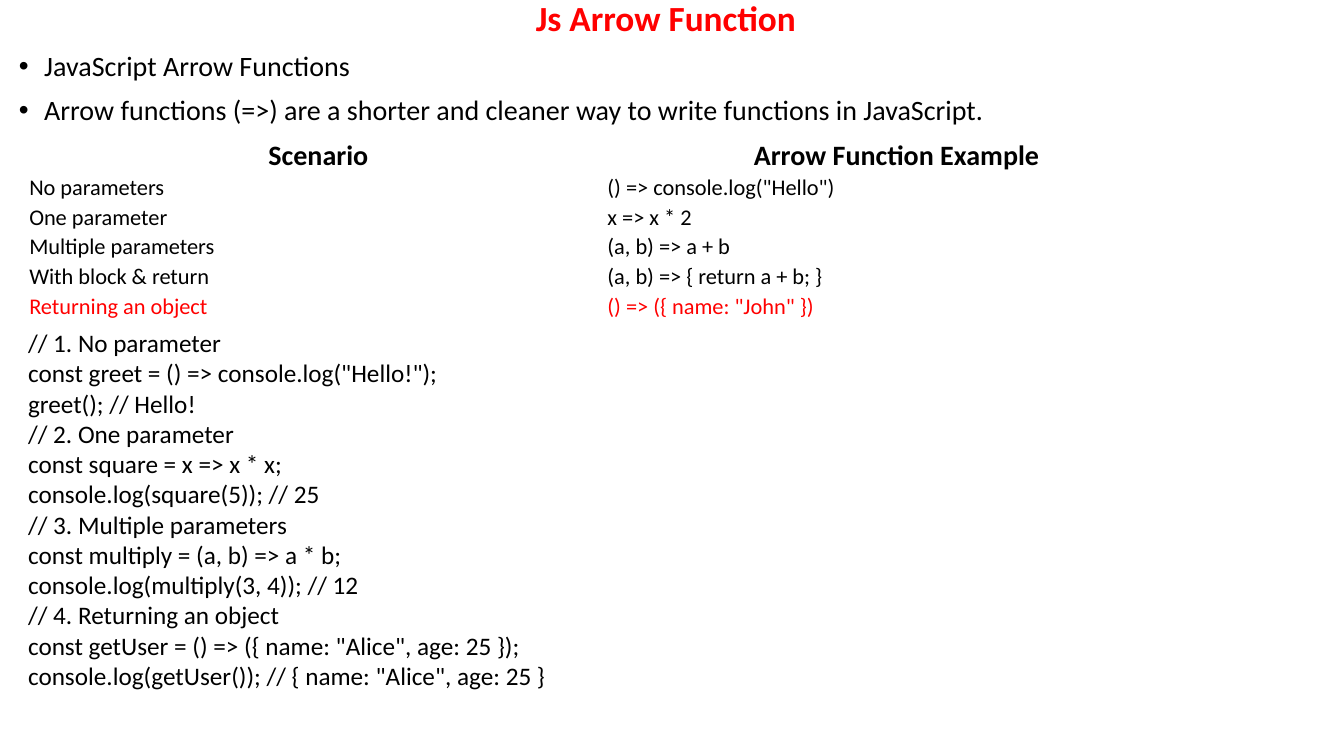
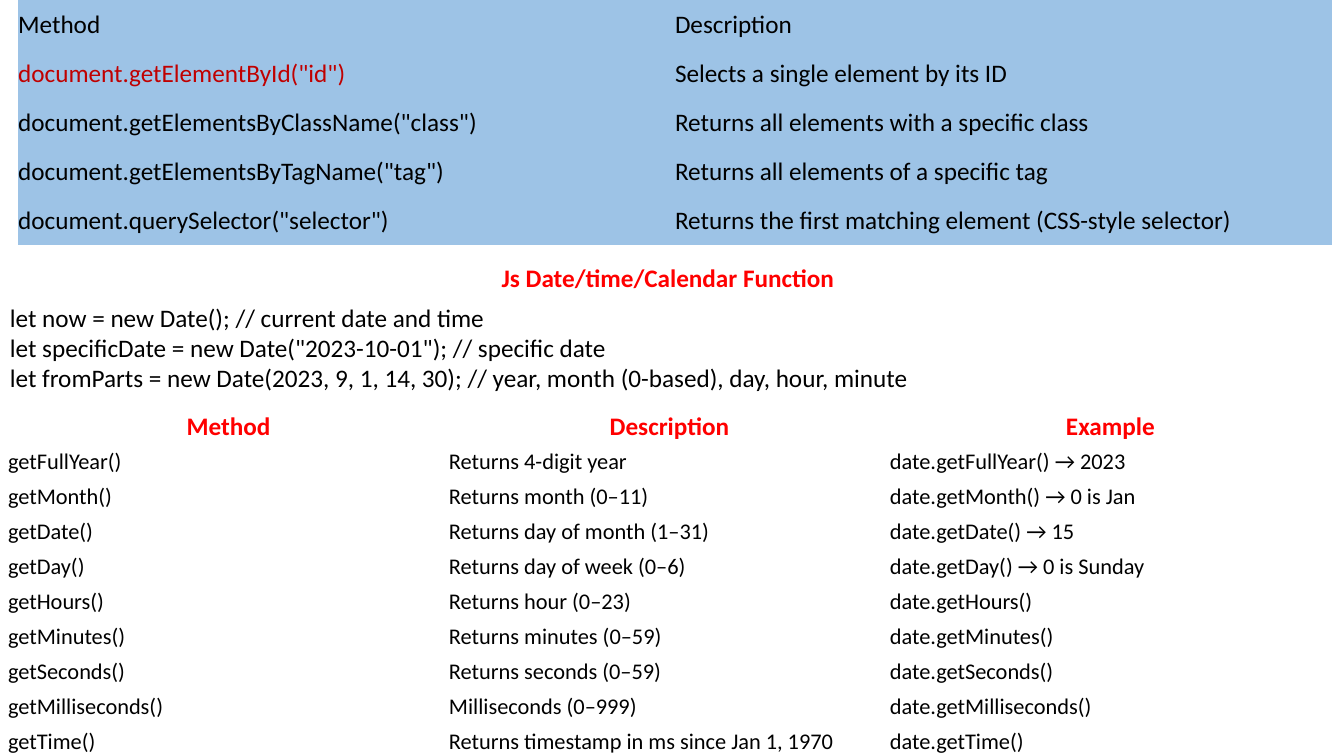
from lxml.etree import SubElement
from pptx import Presentation
from pptx.dml.color import RGBColor
from pptx.enum.text import MSO_ANCHOR, PP_ALIGN
from pptx.oxml.ns import qn
from pptx.util import Pt

PX = 9144  # EMU in one px, 100 px to the inch
SLIDE_WIDTH, SLIDE_HEIGHT = 1333, 750
FONT = "Calibri"
BLACK = RGBColor(0x00, 0x00, 0x00)
RED = RGBColor(0xFF, 0x00, 0x00)
DARK_RED = RGBColor(0xC0, 0x00, 0x00)
PALE_BLUE = RGBColor(0x9D, 0xC3, 0xE6)
PLAIN_TABLE_STYLE = "{2D5ABB26-0587-4C30-8999-92F81FD0307C}"
HEADING = {"color": RED, "bold": True, "align": PP_ALIGN.CENTER}

ARROW_POINTS = [
    "JavaScript Arrow Functions",
    "Arrow functions (=>) are a shorter and cleaner way to write functions in JavaScript.",
]
ARROW_ROWS = [
    ("Scenario", "Arrow Function Example"),
    ("No parameters", '() => console.log("Hello")'),
    ("One parameter", "x => x * 2"),
    ("Multiple parameters", "(a, b) => a + b"),
    ("With block & return", "(a, b) => { return a + b; }"),
    ("Returning an object", '() => ({ name: "John" })'),
]
ARROW_CODE = [
    "// 1. No parameter",
    'const greet = () => console.log("Hello!");',
    "greet(); // Hello!",
    "// 2. One parameter",
    "const square = x => x * x;",
    "console.log(square(5)); // 25",
    "// 3. Multiple parameters",
    "const multiply = (a, b) => a * b;",
    "console.log(multiply(3, 4)); // 12",
    "// 4. Returning an object",
    'const getUser = () => ({ name: "Alice", age: 25 });',
    'console.log(getUser()); // { name: "Alice", age: 25 }',
]
SELECTOR_ROWS = [
    ("Method", "Description"),
    ('document.getElementById("id")', "Selects a single element by its ID"),
    ('document.getElementsByClassName("class")', "Returns all elements with a specific class"),
    ('document.getElementsByTagName("tag")', "Returns all elements of a specific tag"),
    ('document.querySelector("selector")', "Returns the first matching element (CSS-style selector)"),
]
DATE_CODE = [
    "let now = new Date(); // current date and time",
    'let specificDate = new Date("2023-10-01"); // specific date',
    "let fromParts = new Date(2023, 9, 1, 14, 30); // year, month (0-based), day, hour, minute",
]
DATE_ROWS = [
    ("Method", "Description", "Example"),
    ("getFullYear()", "Returns 4-digit year", "date.getFullYear() → 2023"),
    ("getMonth()", "Returns month (0–11)", "date.getMonth() → 0 is Jan"),
    ("getDate()", "Returns day of month (1–31)", "date.getDate() → 15"),
    ("getDay()", "Returns day of week (0–6)", "date.getDay() → 0 is Sunday"),
    ("getHours()", "Returns hour (0–23)", "date.getHours()"),
    ("getMinutes()", "Returns minutes (0–59)", "date.getMinutes()"),
    ("getSeconds()", "Returns seconds (0–59)", "date.getSeconds()"),
    ("getMilliseconds()", "Milliseconds (0–999)", "date.getMilliseconds()"),
    ("getTime()", "Returns timestamp in ms since Jan 1, 1970", "date.getTime()"),
]


def write_text(frame, lines, size=18, color=BLACK, bold=False, align=PP_ALIGN.LEFT,
               line_spacing=None, space_before=0, bullet_indent=0):
    """Fill a text frame with one paragraph for each line."""
    for index, line in enumerate(lines):
        paragraph = frame.add_paragraph() if index else frame.paragraphs[0]
        paragraph.alignment = align
        paragraph.space_before = Pt(space_before)
        if line_spacing:
            paragraph.line_spacing = line_spacing
        if bullet_indent:
            properties = paragraph._p.get_or_add_pPr()
            properties.set("marL", str(bullet_indent * PX))
            properties.set("indent", str(-bullet_indent * PX))
            SubElement(properties, qn("a:buFont"), typeface="Arial")
            SubElement(properties, qn("a:buChar"), char="•")
        run = paragraph.add_run()
        run.text = line
        run.font.name = FONT
        run.font.size = Pt(size)
        run.font.bold = bold
        run.font.color.rgb = color


def add_text(slide, box, lines, anchor=MSO_ANCHOR.TOP, **text_format):
    frame = slide.shapes.add_textbox(*(length * PX for length in box)).text_frame
    frame.word_wrap = True
    frame.vertical_anchor = anchor
    write_text(frame, lines, **text_format)


def add_grid(slide, box, rows, formats, fill=None):
    """Add an even table; formats maps (row, column) to a text format."""
    left, top, width, height = (length * PX for length in box)
    frame = slide.shapes.add_table(len(rows), len(rows[0]), left, top, width, height)
    for style in frame.element.iter(qn("a:tableStyleId")):
        style.text = PLAIN_TABLE_STYLE
    table = frame.table
    table.first_row = table.horz_banding = False
    for row_index, row in enumerate(rows):
        for column_index, text in enumerate(row):
            cell = table.cell(row_index, column_index)
            cell.margin_left = cell.margin_right = cell.margin_top = cell.margin_bottom = 0
            cell.vertical_anchor = MSO_ANCHOR.MIDDLE
            if fill is None:
                cell.fill.background()
            else:
                cell.fill.solid()
                cell.fill.fore_color.rgb = fill
            write_text(cell.text_frame, [text], **formats(row_index, column_index))


def arrow_format(row, column):
    if row == 0:
        return {**HEADING, "size": 20, "color": BLACK}
    return {"size": 16, "color": RED if row == len(ARROW_ROWS) - 1 else BLACK}


def selector_format(row, column):
    return {"color": DARK_RED if (row, column) == (1, 0) else BLACK}


def date_format(row, column):
    return HEADING if row == 0 else {"size": 16}


def build_arrow_slide(slide):
    # Title and bullets
    add_text(slide, (9, 0, 1303, 39), ["Js Arrow Function"], anchor=MSO_ANCHOR.MIDDLE,
             size=25.2, line_spacing=0.9, **HEADING)
    add_text(slide, (9, 47, 1303, 265), ARROW_POINTS, size=20,
             line_spacing=0.9, space_before=10, bullet_indent=25)
    # Scenario table and code
    add_grid(slide, (29, 138, 1147, 177), ARROW_ROWS, arrow_format)
    add_text(slide, (18, 320, 1068, 420), ARROW_CODE)


def build_date_slide(slide):
    # Selector methods
    add_grid(slide, (18, 0, 1303, 243), SELECTOR_ROWS, selector_format, fill=PALE_BLUE)
    # Date functions
    add_text(slide, (0, 295, 1240, 100), DATE_CODE)
    add_grid(slide, (8, 406, 1312, 347), DATE_ROWS, date_format)
    add_text(slide, (18, 255, 1289, 40), ["Js Date/time/Calendar Function"], **HEADING)


def main():
    presentation = Presentation()
    presentation.slide_width = SLIDE_WIDTH * PX
    presentation.slide_height = SLIDE_HEIGHT * PX
    for build in (build_arrow_slide, build_date_slide):
        build(presentation.slides.add_slide(presentation.slide_layouts[6]))
    presentation.save("out.pptx")


if __name__ == "__main__":
    main()
